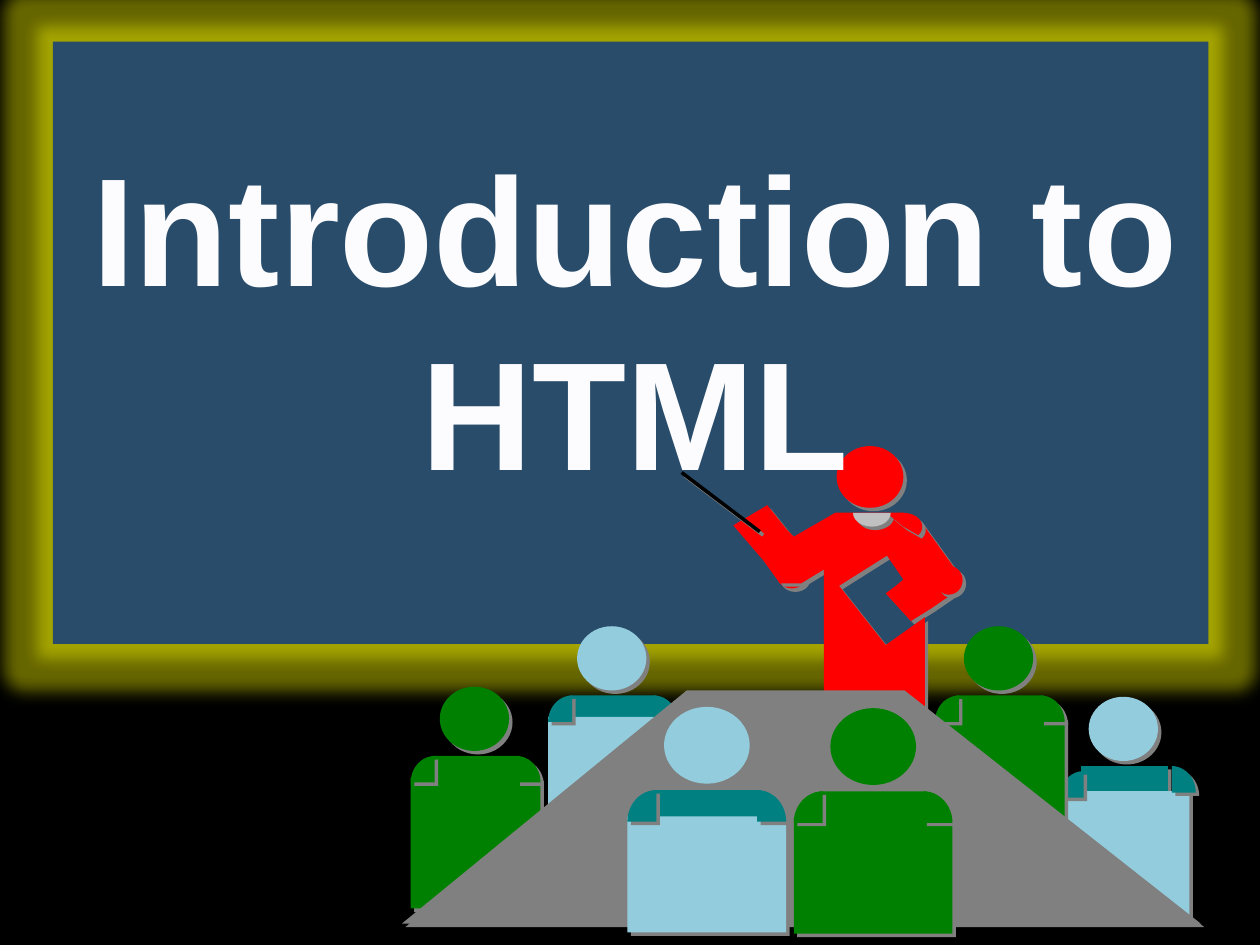
from math import cos, radians, sin

from pptx import Presentation
from pptx.dml.color import RGBColor
from pptx.enum.shapes import MSO_CONNECTOR, MSO_SHAPE
from pptx.enum.text import MSO_ANCHOR, PP_ALIGN
from pptx.oxml import parse_xml
from pptx.oxml.ns import nsdecls
from pptx.util import Inches, Pt

RECT, OVAL = MSO_SHAPE.RECTANGLE, MSO_SHAPE.OVAL
BLACK = RGBColor(0x00, 0x00, 0x00)
NAVY = RGBColor(0x28, 0x4C, 0x6A)
RED = RGBColor(0xFF, 0x00, 0x00)
SILVER = RGBColor(0xC0, 0xC0, 0xC0)
GRAY = RGBColor(0x80, 0x80, 0x80)
GREEN = RGBColor(0x00, 0x80, 0x00)
TEAL = RGBColor(0x00, 0x80, 0x80)
SKY = RGBColor(0x93, 0xCD, 0xDD)
WHITE = RGBColor(0xFC, 0xFC, 0xFF)

SHADOW = (f'<a:effectLst {nsdecls("a")}>'
          f'<a:outerShdw dist="{Pt(2.8)}" dir="2700000" algn="ctr" rotWithShape="0">'
          f'<a:srgbClr val="{GRAY}"/></a:outerShdw></a:effectLst>')
GLOW = (f'<a:effectLst {nsdecls("a")}><a:glow rad="{Inches(0.25)}">'
        '<a:srgbClr val="FFFF00"><a:alpha val="40000"/></a:srgbClr>'
        '</a:glow></a:effectLst>')

prs = Presentation()
prs.slide_width, prs.slide_height = Inches(10), Inches(7.5)
slide = prs.slides.add_slide(prs.slide_layouts[6])
slide.background.fill.solid()
slide.background.fill.fore_color.rgb = BLACK
shapes = slide.shapes


def add(kind, geom, color, effect=SHADOW):
    """Add a preset in the box geom, or a closed outline of points if kind is None."""
    if kind is None:
        points = [(Inches(x), Inches(y)) for x, y in geom]
        form = shapes.build_freeform(*points[0], scale=1.0)
        form.add_line_segments(points[1:], close=True)
        shape = form.convert_to_shape()
    else:
        shape = shapes.add_shape(kind, *map(Inches, geom))
    shape.fill.solid()
    shape.fill.fore_color.rgb = color
    shape.line.fill.background()
    shape._element.spPr.append(parse_xml(effect))


def arc(x, y, wide, high, start, end, steps=12):
    """Points on an ellipse about (x, y), clockwise, in degrees."""
    turns = [radians(start + (end - start) * i / steps) for i in range(steps + 1)]
    return [(x + wide * cos(t), y + high * sin(t)) for t in turns]


# Board with a glowing frame
add(RECT, (0.42, 0.33, 9.17, 4.78), NAVY, GLOW)

# Teacher
add(OVAL, (6.17, 4.49, 0.23, 0.18), RED)
add(OVAL, (6.64, 3.54, 0.53, 0.49), RED)
add(None, [(7.07, 4.07), (7.17, 4.07), (7.31, 4.14), (7.59, 4.53), (7.58, 4.7),
           (7.39, 4.83), (7.23, 4.93), (7.03, 4.71), (7.11, 4.65), (7.17, 4.6),
           (7.04, 4.41), (6.66, 4.65), (7.03, 5.12), (7.34, 4.9), (7.34, 5.68),
           (6.54, 5.68), (6.54, 4.52), (6.36, 4.63), (6.19, 4.63), (6.06, 4.45),
           (5.82, 4.17), (6.09, 4.01), (6.25, 4.21), (6.3, 4.26), (6.63, 4.07)], RED)
add(OVAL, (7.42, 4.49, 0.22, 0.23), RED)
add(None, arc(6.92, 4.07, 0.15, 0.11, 0, 180), SILVER)
stick = shapes.add_connector(MSO_CONNECTOR.STRAIGHT, Inches(6.03), Inches(4.22),
                             Inches(5.41), Inches(3.75))
stick.line.color.rgb = BLACK
stick.line.width = Pt(2)
stick._element.spPr.append(parse_xml(SHADOW))
add(None, arc(7.17, 4.18, 0.15, 0.11, 228, 398) + [(7.17, 4.18)], RED)

# Pupils: sizes of neck, body, shoulder and head, with offsets from the top left
FAR = dict(neck=(0.17, 0.69, 0.26), body=(0.17, 1.03, 1.04),
           arm=(0.84, 0.19, 0.21), head=(0.23, -0.55, 0.55, 0.51))
NEAR = dict(neck=(0.21, 0.84, 0.31), body=(0.21, 1.26, 0.92),
            arm=(1.03, 0.23, 0.25), head=(0.29, -0.66, 0.68, 0.61))
DESK = [(3.19, 7.33), (5.45, 5.48), (7.18, 5.48), (9.53, 7.33)]

# left, top, size, shirt, yoke, body drop, left arm drop, right arm shift
pupils = [
    (8.41, 6.08, FAR, SKY, TEAL, 0.03, 0.04, 0.05),
    (7.42, 5.52, FAR, GREEN, GREEN, 0, 0, 0),
    (4.35, 5.52, FAR, SKY, TEAL, 0, 0, 0),
    (3.26, 6, FAR, GREEN, GREEN, 0, 0, 0),
    (6.3, 6.28, NEAR, GREEN, GREEN, 0, 0, 0),
    (4.98, 6.27, NEAR, SKY, TEAL, 0, 0, 0),
]
for i, (x, y, size, shirt, yoke, drop, dip, shift) in enumerate(pupils):
    if i == 4:
        add(None, DESK, GRAY)
    inset, wide, high = size["neck"]
    add(RECT, (x + inset, y, wide, high), yoke)
    below, wide, high = size["body"]
    add(RECT, (x, y + below + drop, wide, high), shirt)
    right, wide, high = size["arm"]
    hub = (x + wide, y + dip + high)
    add(None, arc(*hub, wide, high, 180, 270) + [hub], yoke)
    hub = (x + right + shift, y + high)
    add(None, arc(*hub, wide, high, 270, 360) + [hub], yoke)
    left, top, wide, high = size["head"]
    add(OVAL, (x + left, y + top, wide, high), shirt)

# Title
box = shapes.add_textbox(Inches(0.5), Inches(1), Inches(9.08), Inches(3.06))
frame = box.text_frame
frame.word_wrap = True
frame.vertical_anchor = MSO_ANCHOR.TOP
frame.text = "Introduction to\nHTML"
style = dict(name="Arial", size=Pt(88), bold=True)
for para in frame.paragraphs:
    para.alignment = PP_ALIGN.CENTER
    font = para.runs[0].font
    for key, value in style.items():
        setattr(font, key, value)
    font.color.rgb = WHITE

prs.save("out.pptx")
